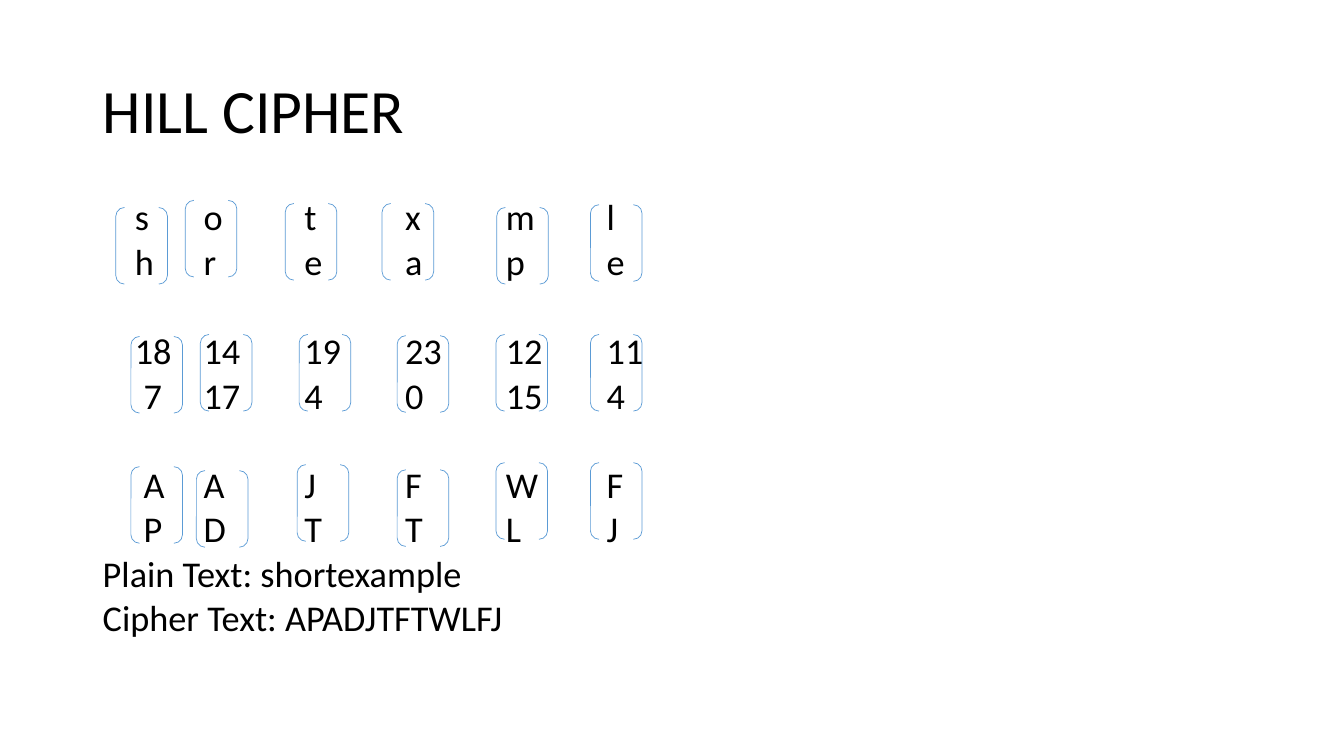
from lxml import etree
from pptx import Presentation
from pptx.dml.color import RGBColor
from pptx.enum.shapes import MSO_SHAPE
from pptx.enum.text import MSO_ANCHOR
from pptx.oxml.ns import qn
from pptx.util import Cm, Pt

BRACKETS = MSO_SHAPE.DOUBLE_BRACKET
MIDDLE, TOP = MSO_ANCHOR.MIDDLE, MSO_ANCHOR.TOP
COLORS = {"text": "000000", "bracket": "5B9BD5"}

LEFT, WIDTH = 2.34, 29.21
BRACKET_W, BRACKET_H = 1.3, 1.93
COLUMN_STEP = 2.54
BODY_SIZE, GAP, BLOCK_GAP = 25.9, 10, 42

# Each block: two rows of (first tab stop, cells), and its bracket corners
BLOCKS = [
    ([(0.81, "s o t x m l"), (0.81, "h r e a p e")],
     [(2.92, 5.23), (4.67, 5.05), (7.19, 5.13),
      (9.63, 5.13), (12.52, 5.23), (14.88, 5.16)]),
    ([(0.81, "18 14 19 23 12 11"), (1.03, "7 17 4 0 15 4")],
     [(3.3, 8.48), (5.05, 8.43), (7.54, 8.43),
      (10.01, 8.46), (12.5, 8.43), (14.88, 8.43)]),
    ([(1.03, "A A J F W F"), (1.03, "P D T T L J")],
     [(3.3, 11.76), (4.95, 11.86), (7.49, 11.71),
      (10.01, 11.84), (12.5, 11.66), (14.88, 11.66)]),
]
SUMMARY = ["Plain Text: shortexample", "Cipher Text: APADJTFTWLFJ"]


class Deck:
    """Holds the style and the current slide."""

    font = "Calibri"

    def __init__(self, slide):
        self.s = slide

    def color(self, name):
        """Return a named colour."""
        return RGBColor.from_string(COLORS[name])

    def text_box(self, top, height, anchor):
        """Add a wrapping text box and return its text frame."""
        tf = self.s.shapes.add_textbox(Cm(LEFT), Cm(top), Cm(WIDTH), Cm(height)).text_frame
        tf.word_wrap = True
        tf.vertical_anchor = anchor
        return tf

    def paragraph(self, tf, text, size, spacing, before=0, stops=()):
        """Write a paragraph, using the first empty one if there is one."""
        p = tf.paragraphs[0] if not tf.text else tf.add_paragraph()
        p.text = text
        p.line_spacing = spacing
        p.space_before = Pt(before)
        if stops:
            tabs = etree.SubElement(p._p.get_or_add_pPr(), qn("a:tabLst"))
            for stop in stops:
                etree.SubElement(tabs, qn("a:tab"), pos=str(Cm(stop)), algn="l")
        p.font.name = self.font
        p.font.size = Pt(size)
        p.font.color.rgb = self.color("text")

    def bracket(self, x, y):
        """Add a pair of brackets around one column vector."""
        sp = self.s.shapes.add_shape(BRACKETS, Cm(x), Cm(y), Cm(BRACKET_W), Cm(BRACKET_H))
        sp.shadow.inherit = False
        sp.fill.background()
        sp.line.color.rgb = self.color("bracket")
        sp.line.width = Pt(0.5)


def main():
    """Build the Hill cipher slide."""
    prs = Presentation()
    prs.slide_width, prs.slide_height = Cm(33.87), Cm(19.05)
    deck = Deck(prs.slides.add_slide(prs.slide_layouts[6]))

    deck.paragraph(deck.text_box(1.02, 3.68, MIDDLE), "HILL CIPHER", 44, 0.9)

    body = deck.text_box(5.08, 12.09, TOP)
    for i, (rows, corners) in enumerate(BLOCKS):
        for j, (first, cells) in enumerate(rows):
            cells = cells.split()
            stops = [first] + [COLUMN_STEP * n for n in range(1, len(cells))]
            before = BLOCK_GAP if i and j == 0 else GAP
            deck.paragraph(body, "\t" + "\t".join(cells), BODY_SIZE, 0.7, before, stops)
        for x, y in corners:
            deck.bracket(x, y)
    for line in SUMMARY:
        deck.paragraph(body, line, BODY_SIZE, 0.7, GAP)

    prs.save("out.pptx")


main()
